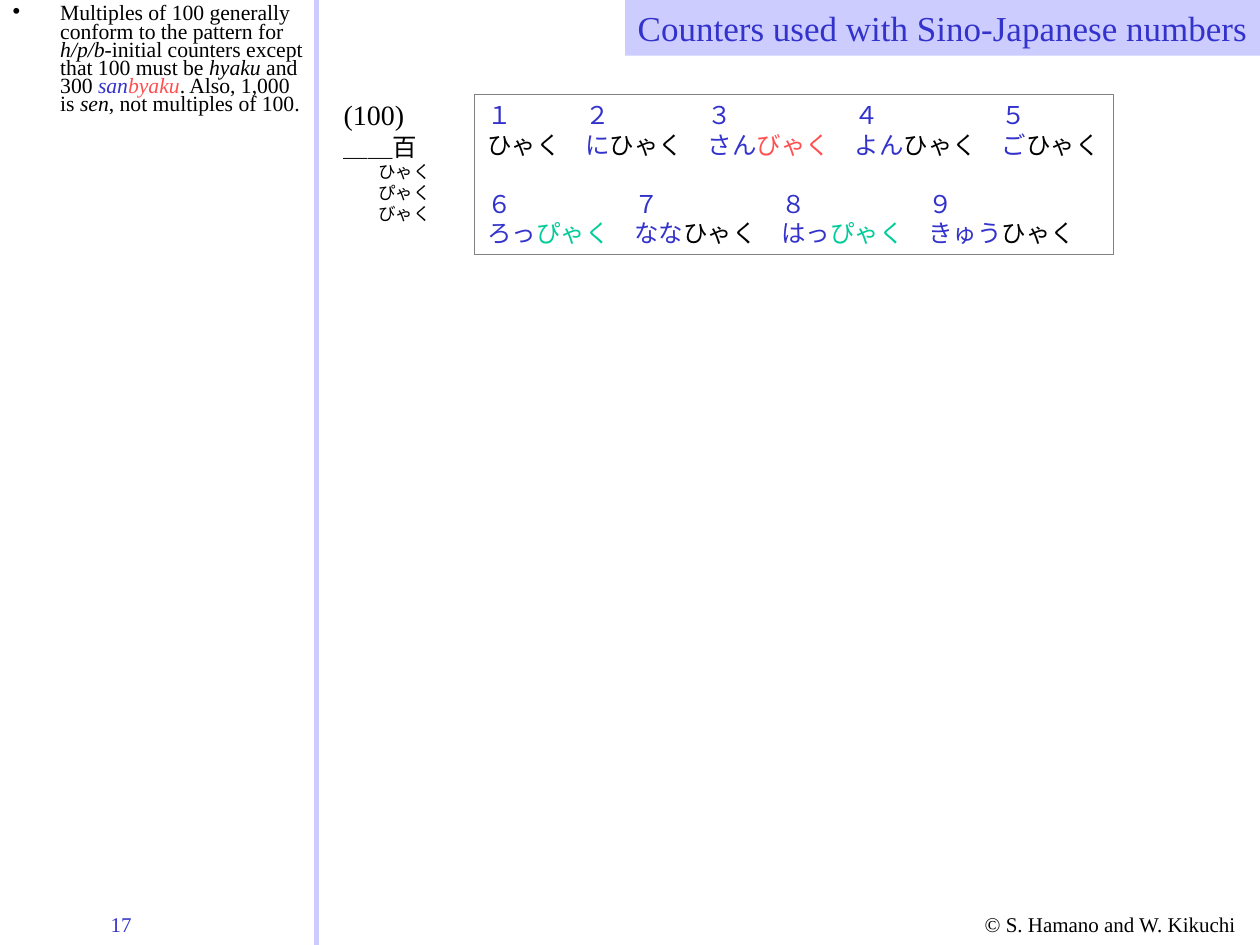
"""Build the slide on Sino-Japanese counters for multiples of 100."""
from dataclasses import dataclass

from lxml import etree
from pptx import Presentation
from pptx import util as u
from pptx.dml.color import RGBColor
from pptx.enum import shapes, text
from pptx.oxml import ns

BLACK = RGBColor(0x00, 0x00, 0x00)
BLUE = RGBColor(0x33, 0x33, 0xCC)
LAVENDER = RGBColor(0xCC, 0xCC, 0xFF)
RED = RGBColor(0xFF, 0x50, 0x50)
GREEN = RGBColor(0x00, 0xCC, 0x99)
GREY = RGBColor(0x80, 0x80, 0x80)
LATIN = "Times New Roman"
JAPANESE = "Noto Sans CJK JP"
KANA_WIDTH = u.Pt(14)


@dataclass
class Span:
    words: str
    color: RGBColor = BLACK
    italic: bool = False


@dataclass
class Reading:
    numeral: str
    column: int
    stem: str
    counter: str = "ひゃく"
    color: RGBColor = BLACK


RULE = [
    Span("Multiples of 100 generally conform to the pattern for "),
    Span("h/p/b", italic=True),
    Span("-initial counters except that 100 must be "),
    Span("hyaku", italic=True),
    Span(" and 300 "),
    Span("san", BLUE, True),
    Span("byaku", RED, True),
    Span(". Also, 1,000 is "),
    Span("sen", italic=True),
    Span(", not multiples of 100."),
]
READINGS = [
    [
        Reading("１", 0, ""),
        Reading("２", 4, "に"),
        Reading("３", 9, "さん", "びゃく", RED),
        Reading("４", 15, "よん"),
        Reading("５", 21, "ご"),
    ],
    [
        Reading("６", 0, "ろっ", "ぴゃく", GREEN),
        Reading("７", 6, "なな"),
        Reading("８", 12, "はっ", "ぴゃく", GREEN),
        Reading("９", 18, "きゅう"),
    ],
]


def place(shape, left: float, top: float, width: float, height: float) -> None:
    shape.left, shape.top = u.Cm(left), u.Cm(top)
    shape.width, shape.height = u.Cm(width), u.Cm(height)


def add_run(paragraph, span: Span, size: float, font: str = LATIN) -> None:
    run = paragraph.add_run()
    run.text = span.words
    run.font.size = u.Pt(size)
    run.font.italic = span.italic
    run.font.color.rgb = span.color
    run.font.name = font
    if font == JAPANESE:
        etree.SubElement(run.font._element, ns.qn("a:ea"), typeface=font)


def next_paragraph(frame):
    first = frame.paragraphs[0]
    return frame.add_paragraph() if first.runs else first


def add_label(slide, label: str, color: RGBColor, left: float, width: float) -> None:
    box = slide.shapes.add_textbox(u.Cm(left), u.Cm(18.26), u.Cm(width), u.Cm(0.76))
    box.text_frame.word_wrap = True
    add_run(box.text_frame.paragraphs[0], Span(label, color), 12)


def add_title(slide) -> None:
    title = slide.shapes.title
    place(title, 12.6, 0, 12.8, 1.12)
    title.fill.solid()
    title.fill.fore_color.rgb = LAVENDER
    frame = title.text_frame
    frame.auto_size = text.MSO_AUTO_SIZE.NONE
    frame.word_wrap = False
    heading = frame.paragraphs[0]
    heading.alignment = text.PP_ALIGN.RIGHT
    add_run(heading, Span("Counters used with Sino-Japanese numbers", BLUE), 20)


def add_rule(slide) -> None:
    body = slide.placeholders[1]
    place(body, 0, 0, 6.38, 3.53)
    body.text_frame.auto_size = text.MSO_AUTO_SIZE.NONE
    rule = body.text_frame.paragraphs[0]
    properties = rule._p.get_or_add_pPr()
    properties.set("marL", str(u.Cm(0.96)))
    properties.set("indent", str(u.Cm(-0.96)))
    bullet_color = etree.SubElement(properties, ns.qn("a:buClr"))
    etree.SubElement(bullet_color, ns.qn("a:srgbClr"), val=str(BLACK))
    etree.SubElement(properties, ns.qn("a:buChar"), char="•")
    rule.line_spacing = 0.7
    rule.space_before = u.Pt(0)
    for span in RULE:
        add_run(rule, span, 12.4)


def add_divider(slide) -> None:
    x = u.Cm(6.38)
    divider = slide.shapes.add_connector(shapes.MSO_CONNECTOR.STRAIGHT, x, 0, x, u.Cm(19.05))
    divider.line.color.rgb = LAVENDER
    divider.line.width = u.Pt(3)
    etree.SubElement(divider._element.spPr, ns.qn("a:effectLst"))


def add_counter(slide) -> None:
    counter = slide.shapes.add_textbox(u.Cm(6.68), u.Cm(1.85), u.Cm(3.15), u.Cm(2.79))
    frame = counter.text_frame
    frame.word_wrap = True
    add_run(next_paragraph(frame), Span("(100)"), 16)
    kanji = next_paragraph(frame)
    kanji.line_spacing = u.Pt(16.8)
    add_run(kanji, Span("＿＿百"), 14, JAPANESE)
    for variant in ("ひゃく", "ぴゃく", "びゃく"):
        line = next_paragraph(frame)
        line._p.get_or_add_pPr().set("marL", str(u.Cm(0.7)))
        line.line_spacing = u.Pt(12)
        add_run(line, Span(variant), 10, JAPANESE)


def add_reading_line(frame, row: list[Reading]):
    line = next_paragraph(frame)
    line.alignment = text.PP_ALIGN.LEFT
    stops = etree.SubElement(line._p.get_or_add_pPr(), ns.qn("a:tabLst"))
    for reading in row[1:]:
        etree.SubElement(stops, ns.qn("a:tab"), pos=str(reading.column * KANA_WIDTH), algn="l")
    line.line_spacing = u.Pt(16.8)
    return line


def add_readings(slide) -> None:
    panel = slide.shapes.add_shape(
        shapes.MSO_SHAPE.RECTANGLE, u.Cm(9.57), u.Cm(1.9), u.Cm(12.88), u.Cm(3.23)
    )
    panel.shadow.inherit = False
    panel.fill.background()
    panel.line.color.rgb = GREY
    panel.line.width = u.Pt(0.75)
    frame = panel.text_frame
    frame.word_wrap = True
    frame.margin_right = 0
    frame.vertical_anchor = text.MSO_ANCHOR.TOP
    for row in READINGS:
        numerals = add_reading_line(frame, row)
        if row is not READINGS[0]:
            numerals.space_before = u.Pt(16.8)
        add_run(numerals, Span("\t".join(r.numeral for r in row), BLUE), 14, JAPANESE)
        sounds = add_reading_line(frame, row)
        for reading in row:
            lead = "\t" if reading.column else ""
            if lead + reading.stem:
                add_run(sounds, Span(lead + reading.stem, BLUE), 14, JAPANESE)
            add_run(sounds, Span(reading.counter, reading.color), 14, JAPANESE)


def main() -> None:
    deck = Presentation()
    deck.slide_width, deck.slide_height = u.Cm(25.4), u.Cm(19.05)
    slide = deck.slides.add_slide(deck.slide_layouts[1])
    add_label(slide, "© S. Hamano and W. Kikuchi", BLACK, 19.6, 5.8)
    add_label(slide, "17", BLUE, 1.98, 2.26)
    add_divider(slide)
    add_rule(slide)
    add_counter(slide)
    add_readings(slide)
    add_title(slide)
    deck.save("out.pptx")


if __name__ == "__main__":
    main()
